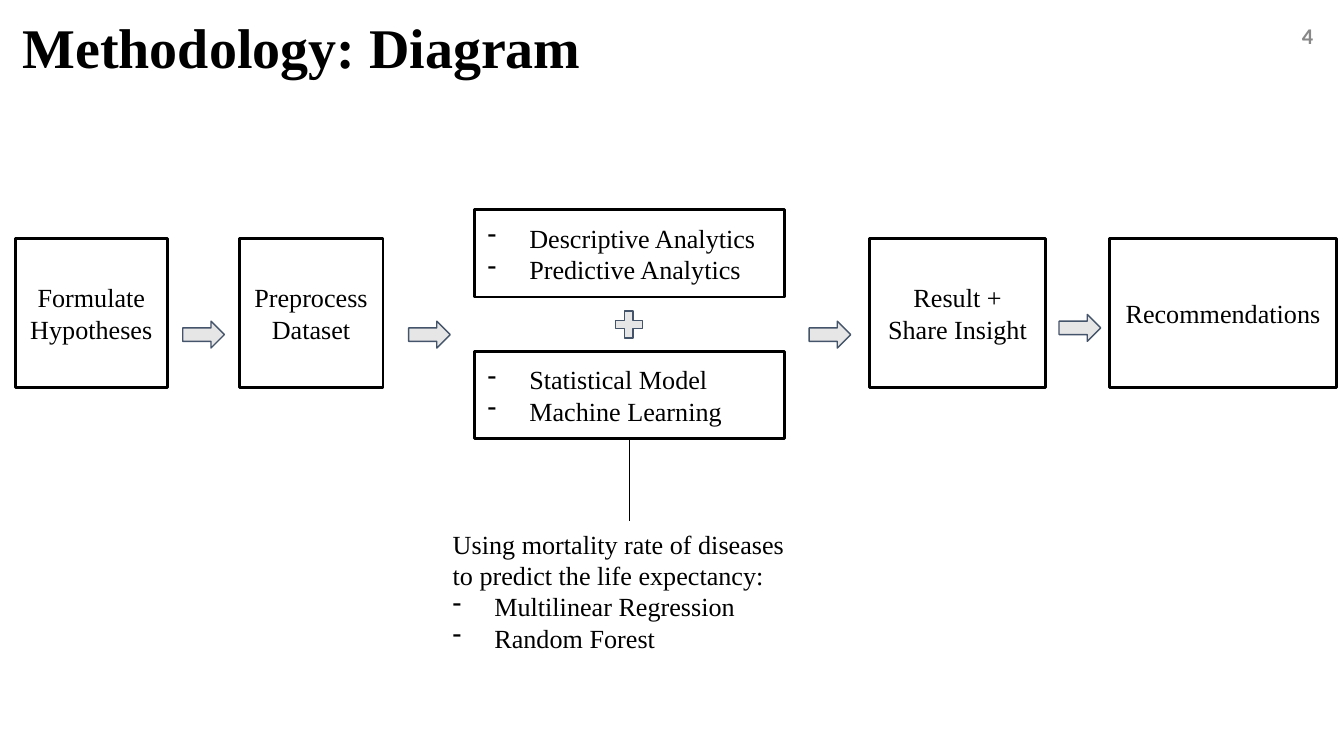
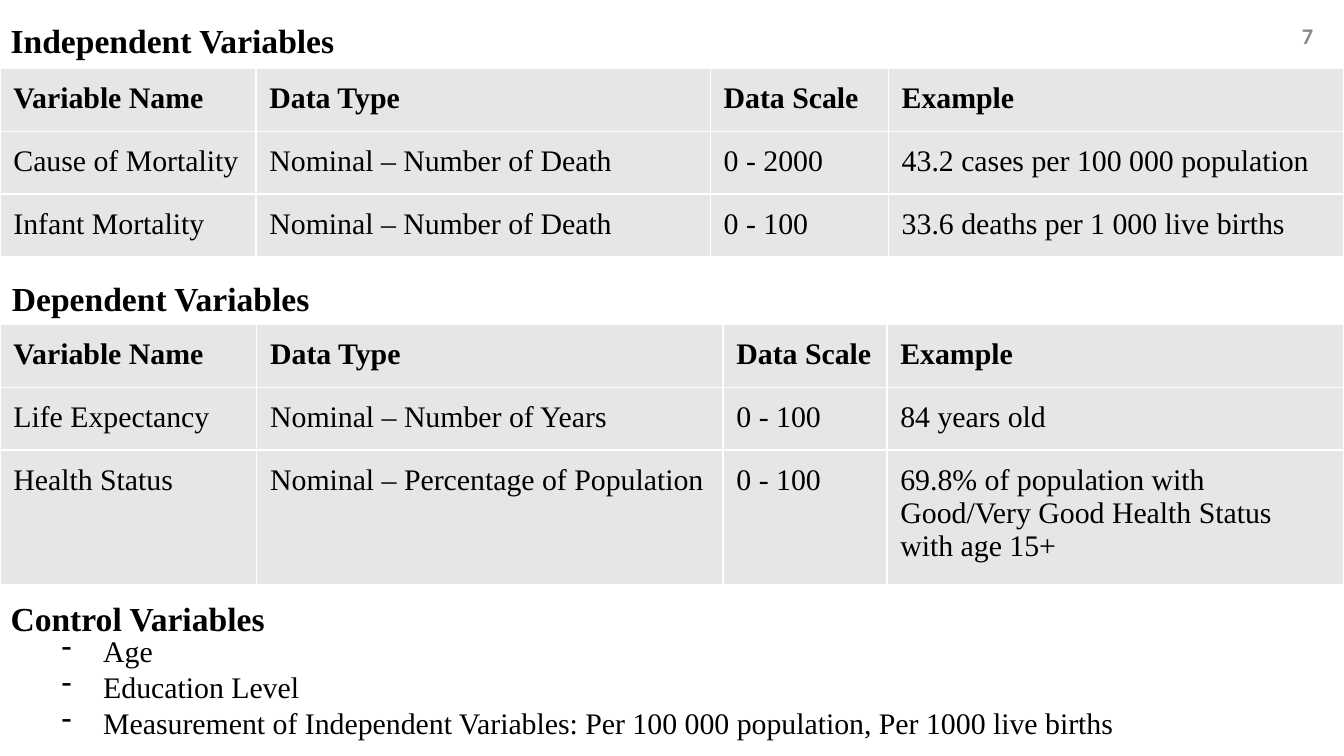
from lxml import etree
from pptx import Presentation
from pptx import util as u
from pptx.dml.color import RGBColor
from pptx.enum import shapes, text
from pptx.oxml import ns

WIDTH, HEIGHT = 100, 56.25  # grid columns and rows, each a tenth of an inch
BLACK, WHITE, SILVER, SLATE, GREY = "000000", "FFFFFF", "E7E6E6", "44546A", "888888"
colour = RGBColor.from_string
kinds, align, anchors = shapes.MSO_SHAPE, text.PP_ALIGN, text.MSO_ANCHOR


def place(*cells):
    """Turn grid columns and rows into slide lengths."""
    return [u.Inches(cell / 10) for cell in cells]


def write(frame, lines, size=14, bold=False, font="Times New Roman", ink=BLACK,
          to=align.LEFT, anchor=anchors.TOP, pad=1, wrap=True):
    """Fill a text frame; a line that starts with "- " becomes a bullet."""
    if pad is not None:
        frame.word_wrap = wrap
        frame.vertical_anchor = anchor
        frame.margin_left, frame.margin_top, frame.margin_right, frame.margin_bottom = place(1, pad, 1, pad)
    for number, line in enumerate(lines):
        paragraph = frame.add_paragraph() if number else frame.paragraphs[0]
        paragraph.alignment = to
        run = paragraph.add_run()
        run.text = line.removeprefix("- ")
        run.font.size, run.font.bold, run.font.name = u.Pt(size), bold, font
        run.font.color.rgb = colour(ink)
        if line.startswith("- "):
            props = paragraph._p.get_or_add_pPr()
            indent = u.Inches(0.31)
            props.set("marL", str(indent))
            props.set("indent", str(-indent))
            tint = etree.SubElement(props, ns.qn("a:buClr"))
            etree.SubElement(tint, ns.qn("a:srgbClr"), val=ink)
            etree.SubElement(props, ns.qn("a:buChar"), char="-")


deck = Presentation()
deck.slide_width, deck.slide_height = place(WIDTH, HEIGHT)
diagram, variables = [deck.slides.add_slide(deck.slide_layouts[6]) for _ in range(2)]

# Page numbers, titles and plain text
heading = dict(size=18, bold=True)
page = dict(size=12, bold=True, font="Calibri", ink=GREY, to=align.RIGHT, anchor=anchors.MIDDLE)
page_spot = (92.7, 0.5, 6, 4.3)
for slide, spot, lines, style in [
    (diagram, page_spot, ["4"], page),
    (variables, page_spot, ["7"], page),
    (diagram, (0.7, -0.1, 84.3, 10.1), ["Methodology: Diagram"], dict(size=30, bold=True)),
    (diagram, (32.7, 38.8, 28.1, 10.4),
     ["Using mortality rate of diseases to predict the life expectancy:",
      "- Multilinear Regression", "- Random Forest"], dict(pad=0.5)),
    (variables, (-0.2, 0.5, 95.8, 5), ["Independent Variables"], heading),
    (variables, (-0.1, 19.7, 95.8, 5), ["Dependent Variables"], heading),
    (variables, (-0.2, 43.5, 95.8, 5), ["Control Variables"], heading),
    (variables, (3.6, 46.6, 81.8, 9.1),
     ["- Age", "- Education Level",
      "- Measurement of Independent Variables: Per 100 000 population, Per 1000 live births"],
     dict(size=16, pad=0.5, wrap=False)),
]:
    write(slide.shapes.add_textbox(*place(*spot)).text_frame, lines, **style)

# Steps of the method
step_top, step_height = 17.75, 11.1
for left, top, width, height, lines, to in [
    (1.15, step_top, 11.3, step_height, ["Formulate Hypotheses"], align.CENTER),
    (17.8, step_top, 10.7, step_height, ["Preprocess Dataset"], align.CENTER),
    (35.3, 15.6, 23.1, 6.5, ["- Descriptive Analytics", "- Predictive Analytics"], align.LEFT),
    (35.3, 26.15, 23.1, 6.5, ["- Statistical Model", "- Machine Learning"], align.LEFT),
    (64.7, step_top, 13.1, step_height, ["Result + Share Insight"], align.CENTER),
    (82.55, step_top, 16.9, step_height, ["Recommendations"], align.CENTER),
]:
    step = diagram.shapes.add_shape(kinds.RECTANGLE, *place(left, top, width, height))
    step.shadow.inherit = False
    step.fill.background()
    step.line.color.rgb = colour(BLACK)
    step.line.width = u.Pt(1.5)
    write(step.text_frame, lines, to=to, anchor=anchors.MIDDLE)

# Signs between the steps
arrow = (kinds.RIGHT_ARROW, 3.1, 2)
for left, top, (kind, width, height) in [
    (13.6, 23.9, arrow), (30.4, 23.9, arrow), (60.2, 23.9, arrow), (78.8, 23.4, arrow),
    (45.45, 22.8, (kinds.MATH_PLUS, 2.7, 2.7)),
]:
    sign = diagram.shapes.add_shape(kind, *place(left, top, width, height))
    sign.shadow.inherit = False
    sign.fill.solid()
    sign.fill.fore_color.rgb = colour(SILVER)
    sign.line.color.rgb = colour(SLATE)
    sign.line.width = u.Pt(0.75)

to_models = diagram.shapes.add_connector(shapes.MSO_CONNECTOR.STRAIGHT, *place(46.85, 32.6, 46.85, 38.8))
to_models.line.color.rgb = colour(BLACK)
to_models.line.width = u.Pt(0.75)
etree.SubElement(to_models._element.spPr, ns.qn("a:effectLst"))

# Tables of variables
header = ["Variable Name", "Data Type", "Data Scale", "Example"]
for top, columns, heights, records in [
    (5.1, [19.05, 33.8, 13.25, 33.9], [4.45, 4.45, 4.45], [
        ["Cause of Mortality", "Nominal – Number of Death", "0 - 2000", "43.2 cases per 100 000 population"],
        ["Infant Mortality", "Nominal – Number of Death", "0 - 100", "33.6 deaths per 1 000 live births"]]),
    (24.15, [19.1, 34.7, 12.2, 34], [4.45, 4.45, 9.4], [
        ["Life Expectancy", "Nominal – Number of Years", "0 - 100", "84 years old"],
        ["Health Status", "Nominal – Percentage of Population", "0 - 100",
         "69.8% of population with Good/Very Good Health Status with age 15+"]]),
]:
    table = variables.shapes.add_table(
        len(heights), len(columns), *place(0, top, WIDTH, sum(heights))).table
    for column, width in zip(table.columns, place(*columns)):
        column.width = width
    for row, height, entries in zip(table.rows, place(*heights), [header, *records]):
        row.height = height
        for cell, entry in zip(row.cells, entries):
            write(cell.text_frame, [entry], size=16, bold=entries is header, pad=None)
            cell.margin_left, cell.margin_top, cell.margin_right, cell.margin_bottom = place(1, 1, 1, 1)
            props = cell._tc.get_or_add_tcPr()
            for side in ("lnL", "lnR", "lnT", "lnB"):
                border = etree.SubElement(props, ns.qn(f"a:{side}"), w=str(u.Pt(0.75)))
                paint = etree.SubElement(border, ns.qn("a:solidFill"))
                etree.SubElement(paint, ns.qn("a:srgbClr"), val=WHITE)
            cell.fill.solid()
            cell.fill.fore_color.rgb = colour(SILVER)

deck.save("out.pptx")
